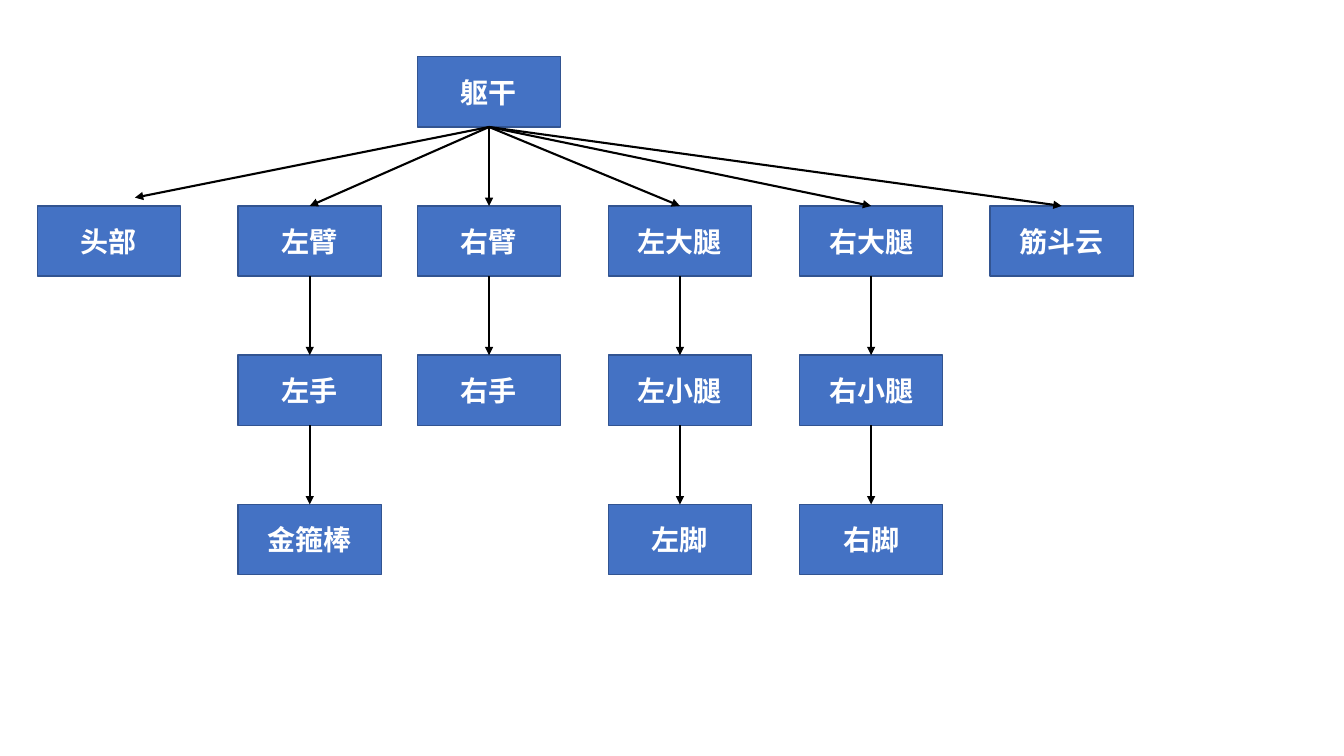
from pptx import Presentation
from pptx.dml.color import RGBColor
from pptx.enum.shapes import MSO_CONNECTOR, MSO_SHAPE
from pptx.enum.text import MSO_ANCHOR, PP_ALIGN
from pptx.oxml.ns import qn
from pptx.util import Cm, Pt
from lxml import etree

RECTANGLE = MSO_SHAPE.RECTANGLE
STRAIGHT = MSO_CONNECTOR.STRAIGHT
MIDDLE = MSO_ANCHOR.MIDDLE
CENTER = PP_ALIGN.CENTER

BLUE = RGBColor(0x44, 0x72, 0xC4)
DARK_BLUE = RGBColor(0x32, 0x54, 0x91)
BLACK = RGBColor(0x00, 0x00, 0x00)
WHITE = RGBColor(0xFF, 0xFF, 0xFF)

BOX_WIDTH, BOX_HEIGHT = 3.61, 1.77
TOP, ROW_STEP = 1.43, 3.76
TOP_SITE, BOTTOM_SITE = 0, 2
TEXT_FORMAT = {"name": "Noto Sans CJK SC", "size": Pt(20), "bold": True}

ROOT, ROOT_LEFT = "躯干", 10.52
HEAD = "头部"
HEAD_ARROW_TIP = (3.4, 4.98)
LIMBS = [
    (0.94, [HEAD]),
    (6.0, ["左臂", "左手", "金箍棒"]),
    (ROOT_LEFT, ["右臂", "右手"]),
    (15.33, ["左大腿", "左小腿", "左脚"]),
    (20.15, ["右大腿", "右小腿", "右脚"]),
    (24.95, ["筋斗云"]),
]


def add_box(slide, text, left, row):
    box = slide.shapes.add_shape(
        RECTANGLE, Cm(left), Cm(TOP + row * ROW_STEP), Cm(BOX_WIDTH), Cm(BOX_HEIGHT))
    box.shadow.inherit = False
    box.fill.solid()
    box.fill.fore_color.rgb = BLUE
    box.line.color.rgb = DARK_BLUE
    box.line.width = Pt(1)
    box.text_frame.vertical_anchor = MIDDLE
    para = box.text_frame.paragraphs[0]
    para.alignment = CENTER
    span = para.add_run()
    span.text = text
    for attribute, value in TEXT_FORMAT.items():
        setattr(span.font, attribute, value)
    span.font.color.rgb = WHITE
    east_asian = etree.SubElement(span.font._element, qn("a:ea"))
    east_asian.set("typeface", TEXT_FORMAT["name"])
    return box


def add_arrow(slide, parent, child, tip=None):
    """Join parent to child, or to a free tip point in centimetres."""
    end_x, end_y = tip or (0, 0)
    arrow = slide.shapes.add_connector(STRAIGHT, 0, 0, Cm(end_x), Cm(end_y))
    arrow.begin_connect(parent, BOTTOM_SITE)
    if tip is None:
        arrow.end_connect(child, TOP_SITE)
    arrow.line.color.rgb = BLACK
    arrow.line.width = Pt(1.5)
    outline = arrow.line._get_or_add_ln()
    etree.SubElement(outline, qn("a:tailEnd")).set("type", "triangle")
    etree.SubElement(arrow._element.spPr, qn("a:effectLst"))


def main():
    deck = Presentation()
    deck.slide_width, deck.slide_height = Cm(33.87), Cm(19.05)
    slide = deck.slides.add_slide(deck.slide_layouts[6])
    root = add_box(slide, ROOT, ROOT_LEFT, 0)
    for left, parts in LIMBS:
        parent = root
        for row, part in enumerate(parts, start=1):
            box = add_box(slide, part, left, row)
            add_arrow(slide, parent, box, HEAD_ARROW_TIP if part == HEAD else None)
            parent = box
    deck.save("out.pptx")


if __name__ == "__main__":
    main()
